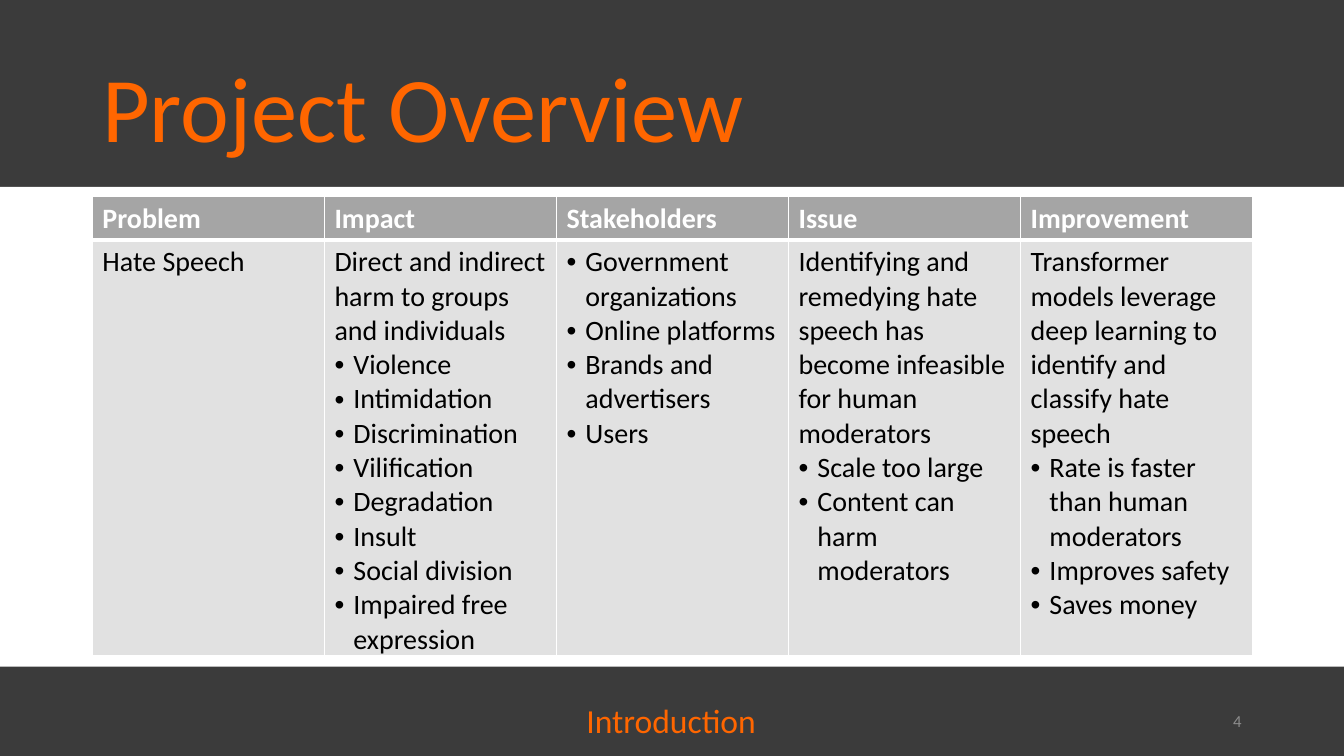
from dataclasses import dataclass

from lxml.etree import SubElement
from pptx import Presentation
from pptx.dml.color import RGBColor
from pptx.enum.shapes import MSO_SHAPE
from pptx.enum.text import MSO_ANCHOR, MSO_AUTO_SIZE, PP_ALIGN
from pptx.oxml.ns import qn
from pptx.util import Emu, Pt


@dataclass(frozen=True)
class Theme:
    font: str = "Calibri"
    backdrop: str = "3B3B3B"
    accent: str = "FF6600"
    white: str = "FFFFFF"
    black: str = "000000"
    muted: str = "8C8C8C"
    header_fill: str = "A5A5A5"
    body_fill: str = "E1E1E1"
    title_size: int = 66
    footer_size: int = 24
    table_size: int = 20
    number_size: int = 12
    thin_line: int = 1
    thick_line: int = 3


THEME = Theme()
PX = 9525
BULLET_INDENT = 18
COLUMN_WIDTH = 221
HEADER_HEIGHT = 39
BODY_HEIGHT = 396

COLUMNS = [
    ("Problem", "Hate Speech", []),
    ("Impact", "Direct and indirect harm to groups and individuals",
     ["Violence", "Intimidation", "Discrimination", "Vilification", "Degradation",
      "Insult", "Social division", "Impaired free expression"]),
    ("Stakeholders", "",
     ["Government organizations", "Online platforms", "Brands and advertisers", "Users"]),
    ("Issue",
     "Identifying and remedying hate speech has become infeasible for human moderators",
     ["Scale too large", "Content can harm moderators"]),
    ("Improvement",
     "Transformer models leverage deep learning to identify and classify hate speech",
     ["Rate is faster than human moderators", "Improves safety", "Saves money"]),
]


def px(length):
    return Emu(length * PX)


def color(code):
    return RGBColor.from_string(code)


def style_text(frame, size, code, bold=False):
    for para in frame.paragraphs:
        for span in para.runs:
            span.font.name = THEME.font
            span.font.size = Pt(size)
            span.font.color.rgb = color(code)
            span.font.bold = bold


def add_band(page, left, top, width, height):
    band = page.shapes.add_shape(
        MSO_SHAPE.RECTANGLE, px(left), px(top), px(width), px(height))
    band.shadow.inherit = False
    band.fill.solid()
    band.fill.fore_color.rgb = color(THEME.white)
    band.line.fill.background()


def add_text(page, text, bounds, size, code, align=PP_ALIGN.LEFT,
             anchor=MSO_ANCHOR.MIDDLE, wrap=True):
    box = page.shapes.add_textbox(*map(px, bounds))
    frame = box.text_frame
    frame.text = text
    frame.word_wrap = wrap
    frame.vertical_anchor = anchor
    frame.auto_size = MSO_AUTO_SIZE.NONE if wrap else MSO_AUTO_SIZE.SHAPE_TO_FIT_TEXT
    frame.paragraphs[0].alignment = align
    style_text(frame, size, code)
    return frame


def add_bullet(para):
    properties = para._p.get_or_add_pPr()
    properties.set("marL", str(px(BULLET_INDENT)))
    properties.set("indent", str(-px(BULLET_INDENT)))
    SubElement(properties, qn("a:buFont"), typeface="Arial")
    SubElement(properties, qn("a:buChar"), char="•")


def add_borders(cell, top, bottom):
    properties = cell._tc.get_or_add_tcPr()
    widths = {"L": THEME.thin_line, "R": THEME.thin_line, "T": top, "B": bottom}
    for side, width in widths.items():
        line = SubElement(properties, qn(f"a:ln{side}"), w=str(Pt(width)))
        fill = SubElement(line, qn("a:solidFill"))
        SubElement(fill, qn("a:srgbClr"), val=THEME.white)


def fill_cell(cell, lead, bullets, fill, code, bold, top, bottom):
    lines = [lead] * bool(lead) + bullets
    frame = cell.text_frame
    frame.text = "\n".join(lines)
    for para in frame.paragraphs[len(lines) - len(bullets):]:
        add_bullet(para)
    style_text(frame, THEME.table_size, code, bold)
    add_borders(cell, top, bottom)
    cell.fill.solid()
    cell.fill.fore_color.rgb = color(fill)


def add_overview_table(page, left, top):
    table = page.shapes.add_table(
        2, len(COLUMNS), px(left), px(top),
        px(COLUMN_WIDTH * len(COLUMNS)), px(HEADER_HEIGHT + BODY_HEIGHT)).table
    table.horz_banding = False
    table.rows[0].height = px(HEADER_HEIGHT)
    table.rows[1].height = px(BODY_HEIGHT)
    for index, (heading, lead, bullets) in enumerate(COLUMNS):
        table.columns[index].width = px(COLUMN_WIDTH)
        fill_cell(table.cell(0, index), heading, [], THEME.header_fill, THEME.white,
                  True, THEME.thin_line, THEME.thick_line)
        fill_cell(table.cell(1, index), lead, bullets, THEME.body_fill, THEME.black,
                  False, THEME.thick_line, THEME.thin_line)


def main():
    deck = Presentation()
    deck.slide_width, deck.slide_height = px(1280), px(720)
    page = deck.slides.add_slide(deck.slide_layouts[6])
    page.background.fill.solid()
    page.background.fill.fore_color.rgb = color(THEME.backdrop)

    add_band(page, 0, 178, 1280, 457)
    title = add_text(page, "Project Overview", (88, 38, 1104, 139),
                     THEME.title_size, THEME.accent)
    title.paragraphs[0].line_spacing = 0.9
    add_text(page, "4", (904, 667, 288, 38), THEME.number_size, THEME.muted,
             align=PP_ALIGN.RIGHT)
    add_text(page, "Introduction", (549, 662, 182, 48), THEME.footer_size, THEME.accent,
             align=PP_ALIGN.JUSTIFY, anchor=MSO_ANCHOR.TOP, wrap=False)
    add_overview_table(page, 88, 187)
    deck.save("out.pptx")


if __name__ == "__main__":
    main()
